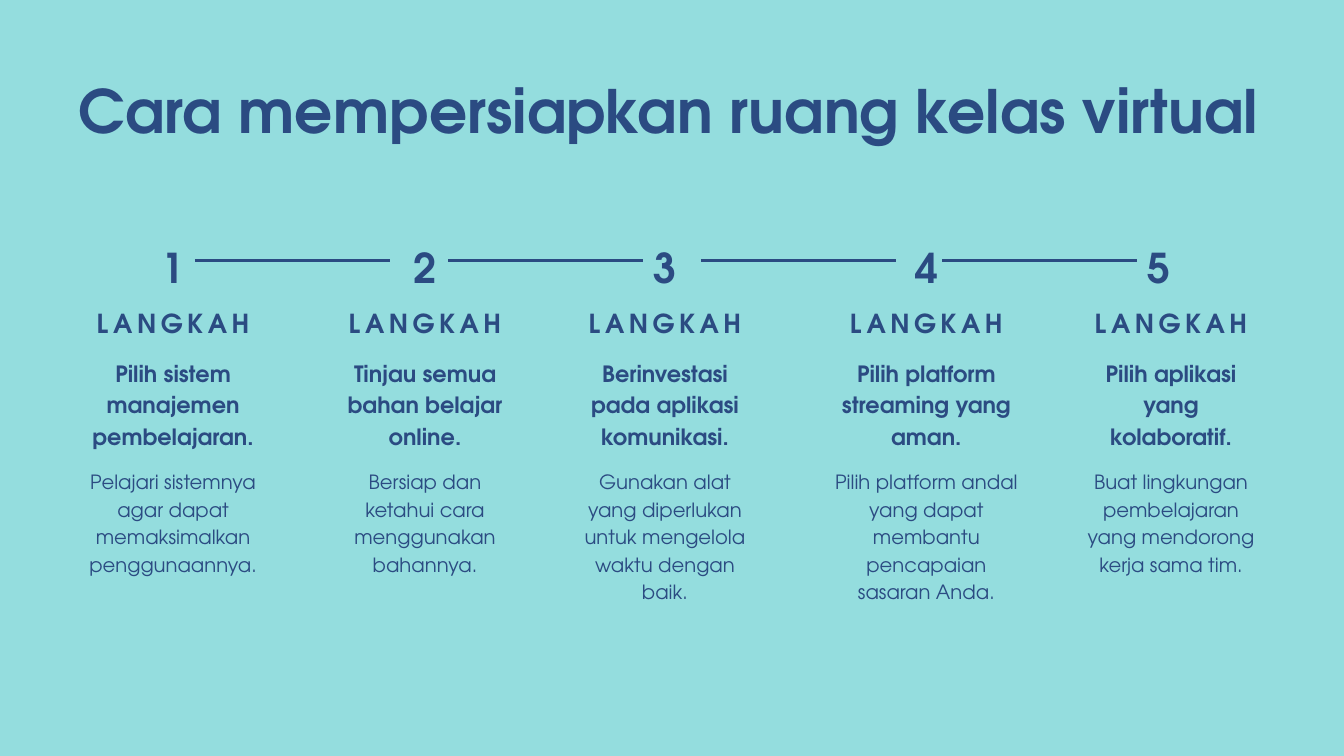
from pptx import Presentation
from pptx.dml.color import RGBColor
from pptx.enum.shapes import MSO_CONNECTOR
from pptx.enum.text import MSO_ANCHOR, MSO_AUTO_SIZE, PP_ALIGN
from pptx.oxml.ns import qn
from pptx.util import Inches, Pt
from lxml.etree import SubElement

AQUA = RGBColor(0x94, 0xDD, 0xDE)
NAVY = RGBColor(0x2B, 0x4B, 0x82)
FONT = "TeX Gyre Adventor"


def write(shape, text, size, lead, bold=True, gap=0):
    """Fill a shape with centred text; lead is the line pitch, gap the letter spacing."""
    frame = shape.text_frame
    frame.word_wrap = True
    frame.auto_size = MSO_AUTO_SIZE.NONE
    frame.vertical_anchor = MSO_ANCHOR.TOP
    frame.margin_left = frame.margin_right = 0
    frame.margin_top = frame.margin_bottom = 0
    para = frame.paragraphs[0]
    para.alignment = PP_ALIGN.CENTER
    para.line_spacing = Pt(lead)
    para.space_before = Pt(0)
    run = para.add_run()
    run.text = text
    run.font.name = FONT
    run.font.size = Pt(size)
    run.font.bold = bold
    run.font.color.rgb = NAVY
    if gap:
        run._r.get_or_add_rPr().set("spc", str(round(gap * 100)))


def add_box(left, top, width, height):
    return slide.shapes.add_textbox(Inches(left), Inches(top), Inches(width), Inches(height))


# Slide and background
deck = Presentation()
deck.slide_width, deck.slide_height = Inches(20), Inches(11.25)
slide = deck.slides.add_slide(deck.slide_layouts[5])
slide.background.fill.solid()
slide.background.fill.fore_color.rgb = AQUA

# Title
title = slide.shapes.title
title.left, title.top = Inches(1.12), Inches(1.1)
title.width, title.height = Inches(17.65), Inches(1.08)
write(title, "Cara mempersiapkan ruang kelas virtual", 64, 76.8)

# Steps: column left, column width, number centre, heading, detail
steps = [
    (1.23, 2.69, 2.57, "Pilih sistem manajemen pembelajaran.",
     "Pelajari sistemnya agar dapat memaksimalkan penggunaannya."),
    (5.01, 2.63, 6.33, "Tinjau semua bahan belajar online.",
     "Bersiap dan ketahui cara menggunakan bahannya."),
    (8.55, 2.69, 9.9, "Berinvestasi pada aplikasi komunikasi.",
     "Gunakan alat yang diperlukan untuk mengelola waktu dengan baik."),
    (12.32, 2.93, 13.79, "Pilih platform streaming yang aman.",
     "Pilih platform andal yang dapat membantu pencapaian sasaran Anda."),
    (16.08, 2.69, 17.25, "Pilih aplikasi yang kolaboratif.",
     "Buat lingkungan pembelajaran yang mendorong kerja sama tim."),
]
DIGIT = 0.66
for num, (left, width, mid, head, body) in enumerate(steps, 1):
    write(add_box(mid - DIGIT / 2, 3.48, DIGIT, 0.82), str(num), 44, 61.6, gap=7.5)
    write(add_box(left, 4.49, width, 0.51), "LANGKAH", 28, 39.2, gap=4.8)
    write(add_box(left, 5.29, width, 1.37), head, 24, 33.6)
    write(add_box(left, 6.94, width, 2), body, 21, 29.4, bold=False)

# Lines between the numbers
LINE = 2.9
for start in (2.9, 6.67, 10.43, 14.02):
    line = slide.shapes.add_connector(
        MSO_CONNECTOR.STRAIGHT, Inches(start), Inches(3.88), Inches(start + LINE), Inches(3.88))
    line.line.color.rgb = NAVY
    line.line.width = Pt(3)
    SubElement(line._element.spPr, qn("a:effectLst"))

deck.save("out.pptx")
